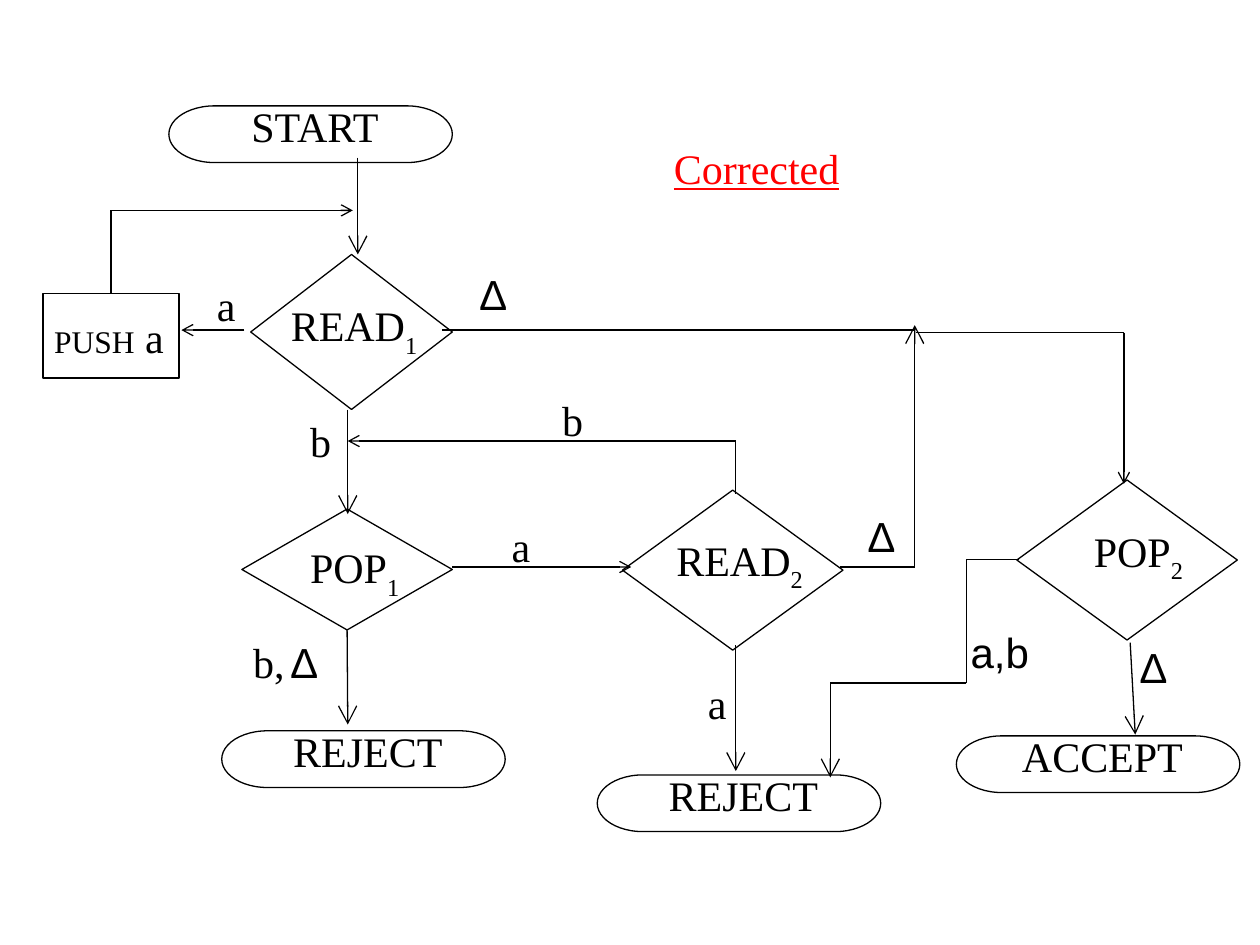
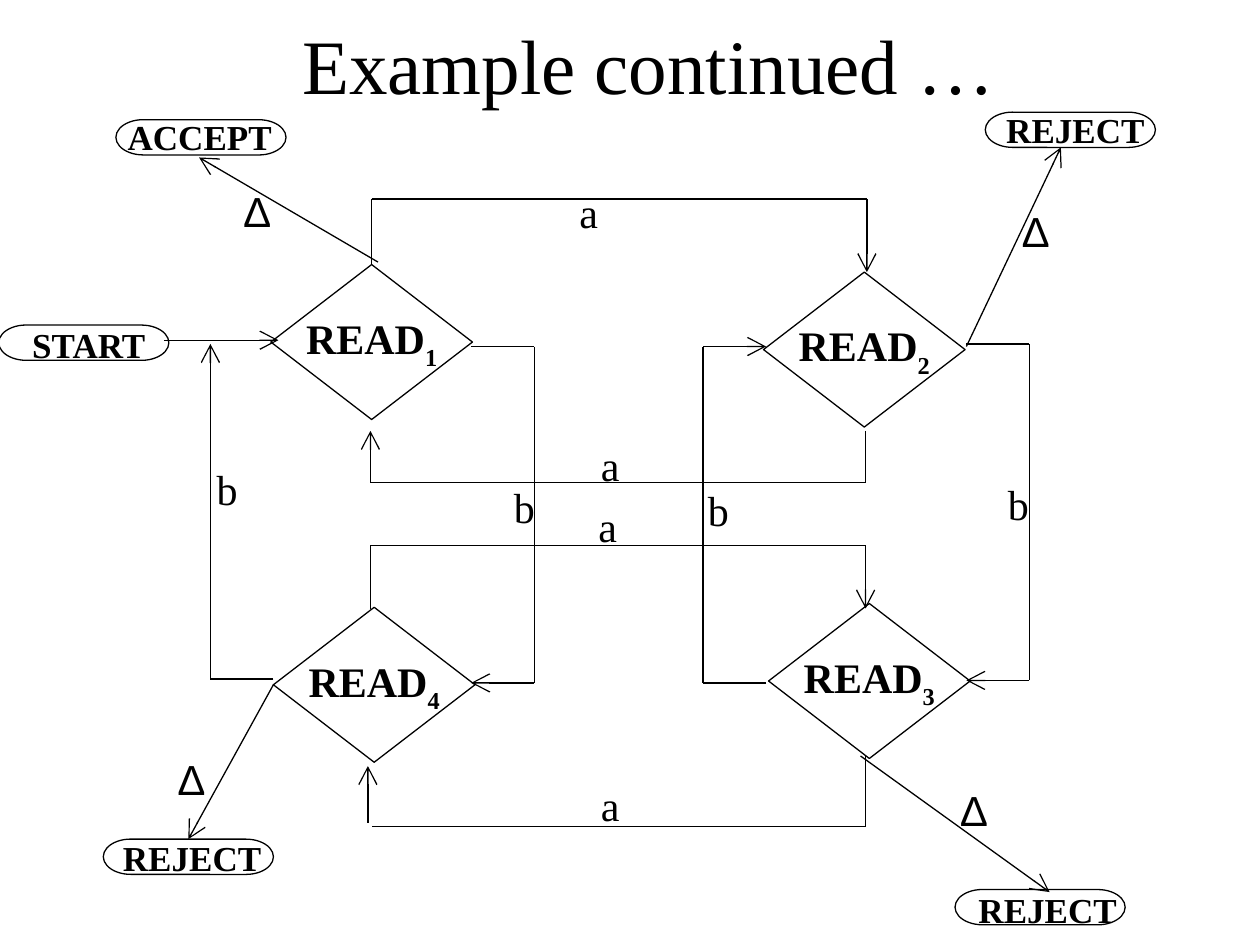
from dataclasses import dataclass
from itertools import pairwise

from lxml import etree
from pptx import Presentation
from pptx.dml.color import RGBColor
from pptx.enum.shapes import MSO_CONNECTOR, MSO_SHAPE
from pptx.enum.text import MSO_ANCHOR, MSO_AUTO_SIZE, PP_ALIGN
from pptx.oxml.ns import qn
from pptx.util import Inches, Pt

BOX = MSO_SHAPE.RECTANGLE
TERM = MSO_SHAPE.FLOWCHART_TERMINATOR
TEST = MSO_SHAPE.FLOWCHART_DECISION
LINE = MSO_CONNECTOR.STRAIGHT
MID, LEFT = PP_ALIGN.CENTER, PP_ALIGN.LEFT
CENTER = MSO_ANCHOR.MIDDLE
GROW = MSO_AUTO_SIZE.SHAPE_TO_FIT_TEXT


@dataclass(frozen=True)
class Theme:
    ink: RGBColor = RGBColor(0, 0, 0)
    red: RGBColor = RGBColor(255, 0, 0)
    serif: str = "Times New Roman"
    sans: str = "Arial"
    title: int = 44
    body: int = 24
    term: int = 20
    push: int = 18
    line: float = 0.75


THEME = Theme()
NEAR = 0.018  # a line end this close to a side's middle is joined to it

# First chart: node = kind, (left, top, width, height)
NODES1 = [
    (BOX, (0.34, 2.33, 1.08, 0.67)),
    (TEST, (1.99, 2.02, 1.6, 1.23)),
    (TEST, (4.94, 3.89, 1.75, 1.27)),
    (TEST, (1.92, 4.04, 1.67, 0.96)),
    (TEST, (8.07, 3.81, 1.75, 1.27)),
]
# Terminators: text, left, top
TERMS1 = [("START", 1.34, 0.84), ("REJECT", 4.74, 6.15),
          ("REJECT", 1.76, 5.8), ("ACCEPT", 7.59, 5.84)]
# Names: word, index, left, top, width
NAMES1 = [("READ", "1", 2.2, 2.33, 1.22), ("READ", "2", 5.26, 4.19, 1.22),
          ("POP", "1", 2.35, 4.25, 0.93), ("POP", "2", 8.57, 4.12, 0.93)]
# Edge labels: text, left, top
MARKS1 = [
    ("a", 3.76, 4.08), ("a", 1.42, 2.17), ("b", 2.17, 3.25),
    ("b,", 1.76, 5), ("b", 4.17, 3.08), ("a,b", 7.56, 4.92),
    ("∆", 8.78, 5.04), ("∆", 3.54, 2.08), ("∆", 2.04, 5), ("∆", 6.62, 4),
]
# Routes: arrow size at the end, then corner points
ROUTES1 = [
    ("lg", (2.84, 1.25), (2.84, 2.02)),
    ("med", (0.88, 2.33), (0.88, 1.67), (2.8, 1.67)),
    ("med", (1.94, 2.62), (1.44, 2.62)),
    ("lg", (2.76, 3.25), (2.76, 4.08)),
    ("med", (5.84, 3.92), (5.84, 3.5), (2.76, 3.5)),
    ("med", (3.59, 4.5), (5.01, 4.5)),
    (None, (3.51, 2.62), (7.25, 2.62)),
    ("med", (7.27, 2.64), (8.92, 2.64), (8.92, 3.84)),
    ("lg", (6.67, 4.5), (7.26, 4.5), (7.26, 2.58)),
    ("lg", (5.84, 5.12), (5.84, 6.12)),
    ("lg", (8.97, 5.1), (9.01, 5.83)),
    ("lg", (8.09, 4.44), (7.67, 4.44), (7.67, 5.42), (6.59, 5.42),
     (6.59, 6.17)),
    ("lg", (2.76, 5), (2.76, 5.75)),
]

# Second chart: READ index, left, top
READS2 = [("4", 2.17, 4.82), ("1", 2.15, 2.1),
          ("2", 6.06, 2.16), ("3", 6.1, 4.79)]
# Terminators: text, left, top, then text left, top, width
TERMS2 = [
    ("START", -0.01, 2.58, 0.07, 2.52, 1.27),
    ("ACCEPT", 0.92, 0.95, 0.79, 0.87, 1.59),
    ("REJECT", 7.82, 0.89, 7.82, 0.81, 1.43),
    ("REJECT", 0.82, 6.66, 0.81, 6.59, 1.43),
    ("REJECT", 7.58, 7.06, 7.6, 7, 1.43),
]
MARKS2 = [
    ("a", 4.5, 1.43), ("a", 4.67, 6.14), ("a", 4.67, 3.44), ("a", 4.65, 3.92),
    ("b", 1.62, 3.63), ("b", 3.98, 3.77), ("b", 5.52, 3.8), ("b", 7.9, 3.75),
    ("∆", 1.84, 1.42), ("∆", 1.32, 5.93), ("∆", 7.53, 6.18), ("∆", 8.02, 1.58),
]
ROUTES2 = [
    ("lg", (2.95, 2.1), (2.95, 1.58), (6.88, 1.58), (6.88, 2.16)),
    (None, (6.87, 6), (6.87, 6.56), (2.95, 6.56)),
    ("lg", (2.92, 6.53), (2.92, 6.08)),
    ("lg", (6.08, 5.42), (5.58, 5.42), (5.58, 2.75), (6.08, 2.75)),
    ("lg", (3.74, 2.75), (4.24, 2.75), (4.24, 5.42), (3.74, 5.42)),
    ("lg", (6.87, 3.42), (6.87, 3.83), (2.94, 3.83), (2.94, 3.42)),
    ("lg", (2.94, 4.83), (2.94, 4.33), (6.87, 4.33), (6.87, 4.83)),
    ("lg", (2.17, 5.39), (1.67, 5.39), (1.67, 2.73)),
    ("lg", (7.67, 2.73), (8.17, 2.73), (8.17, 5.4), (7.67, 5.4)),
    ("lg", (1.3, 2.7), (2.21, 2.7)),
    ("lg", (2.17, 5.42), (1.51, 6.67)),
    ("lg", (6.83, 6), (8.33, 7.08)),
    ("lg", (3, 2.08), (1.58, 1.25)),
    ("lg", (7.67, 2.75), (8.42, 1.17)),
]


def add_run(para, text, size=THEME.body, face=THEME.serif, color=THEME.ink,
            bold=False, line=False, sub=False):
    run = para.add_run()
    run.text = text
    font = run.font
    font.size, font.name, font.bold = Pt(size), face, bold
    font.underline = line
    font.color.rgb = color
    if sub:
        run._r.get_or_add_rPr().set("baseline", "-30000")


def add_name(para, word, index, bold=False):
    add_run(para, word, bold=bold)
    add_run(para, index, bold=bold, sub=True)


def add_text(slide, x, y, w, h=0.5, align=MID, wrap=True):
    """Add an empty text box and return its first paragraph."""
    box = slide.shapes.add_textbox(*map(Inches, (x, y, w, h)))
    frame = box.text_frame
    frame.word_wrap, frame.auto_size = wrap, GROW
    para = frame.paragraphs[0]
    para.alignment = align
    return para


def add_node(slide, kind, area):
    node = slide.shapes.add_shape(kind, *map(Inches, area))
    node.shadow.inherit = False
    node.fill.background()
    node.line.color.rgb, node.line.width = THEME.ink, Pt(THEME.line)
    x, y, w, h = area
    sites = [(x + w / 2, y), (x, y + h / 2), (x + w / 2, y + h),
             (x + w, y + h / 2)]
    return node, sites


def join(hook, point, nodes):
    for node, sites in nodes:
        for i, (x, y) in enumerate(sites):
            if abs(x - point[0]) < NEAR and abs(y - point[1]) < NEAR:
                hook(node, i)
                return


def add_route(slide, nodes, tip, *points):
    last = len(points) - 2
    for i, (start, end) in enumerate(pairwise(points)):
        leg = slide.shapes.add_connector(LINE, *map(Inches, start + end))
        leg.line.color.rgb, leg.line.width = THEME.ink, Pt(THEME.line)
        if i == 0:
            join(leg.begin_connect, start, nodes)
        if i == last:
            join(leg.end_connect, end, nodes)
            if tip:
                etree.SubElement(leg.line._get_or_add_ln(), qn("a:tailEnd"),
                                 type="arrow", w=tip, len=tip)
        etree.SubElement(leg._element.spPr, qn("a:effectLst"))


def add_marks(slide, marks, width, align):
    for text, x, y in marks:
        face = THEME.sans if text in ("∆", "a,b") else THEME.serif
        add_run(add_text(slide, x, y, width, align=align), text, face=face)


def draw_first(slide):
    # Nodes and their names
    nodes = [add_node(slide, *node) for node in NODES1]
    for text, x, y in TERMS1:
        nodes.append(add_node(slide, TERM, (x, y, 2.25, 0.45)))
        add_run(add_text(slide, x + 0.41, y - 0.09, 1.5), text)
    for word, index, x, y, w in NAMES1:
        add_name(add_text(slide, x, y, w, wrap=False), word, index)
    push = add_text(slide, 0.33, 2.42, 1.07, wrap=False)
    add_run(push, "PUSH", THEME.push)
    add_run(push, " a")

    # Routes and labels
    for route in ROUTES1:
        add_route(slide, nodes, *route)
    add_marks(slide, MARKS1, 0.75, MID)
    add_marks(slide, [("a", 5.52, 5.33)], 0.75, LEFT)
    add_run(add_text(slide, 5.25, 1.08, 2.33, align=LEFT), "Corrected",
            color=THEME.red, line=True)


def draw_second(slide):
    # Title
    title = add_text(slide, 0.9, 0.09, 8.5, 0.91)
    add_run(title, "Example continued …", THEME.title)

    # Nodes and their names
    nodes = []
    for index, x, y in READS2:
        node, sites = add_node(slide, TEST, (x, y, 1.6, 1.23))
        nodes.append((node, sites))
        frame = node.text_frame
        frame.word_wrap, frame.vertical_anchor = False, CENTER
        para = frame.paragraphs[0]
        para.alignment = MID
        add_name(para, "READ", index, bold=True)
    for text, x, y, left, top, w in TERMS2:
        nodes.append(add_node(slide, TERM, (x, y, 1.35, 0.28)))
        add_run(add_text(slide, left, top, w, 0.43), text, THEME.term,
                bold=True)

    # Routes and labels
    for route in ROUTES2:
        add_route(slide, nodes, *route)
    add_marks(slide, MARKS2, 0.58, LEFT)


def main():
    deck = Presentation()
    deck.slide_width, deck.slide_height = Inches(10), Inches(7.5)
    for draw in (draw_first, draw_second):
        draw(deck.slides.add_slide(deck.slide_layouts[6]))
    deck.save("out.pptx")


if __name__ == "__main__":
    main()
